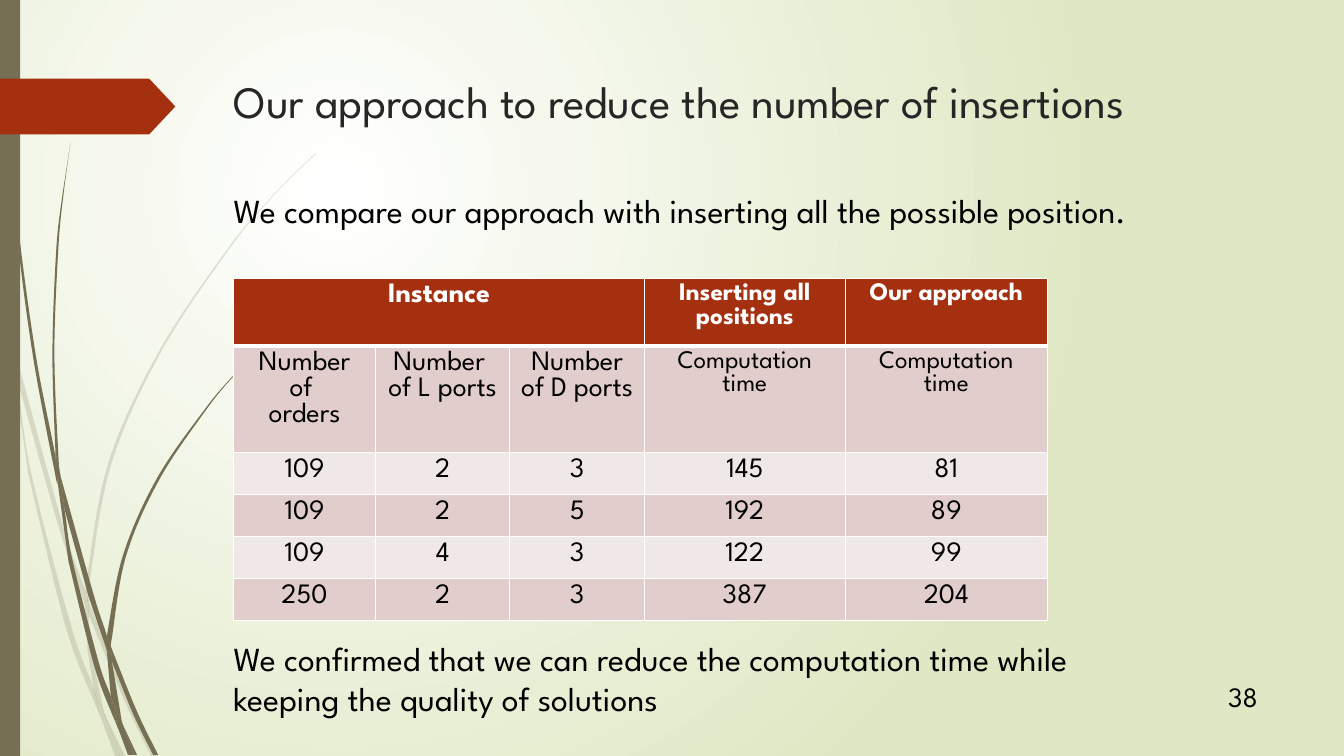
from lxml import etree
from pptx import Presentation
from pptx.dml.color import RGBColor
from pptx.enum.shapes import MSO_SHAPE
from pptx.enum.text import MSO_ANCHOR, PP_ALIGN
from pptx.oxml import parse_xml
from pptx.oxml.ns import qn
from pptx.util import Cm, Pt

RECT = MSO_SHAPE.RECTANGLE
ARROW = MSO_SHAPE.PENTAGON
TOP, MIDDLE = MSO_ANCHOR.TOP, MSO_ANCHOR.MIDDLE
LEFT, CENTER, RIGHT = PP_ALIGN.LEFT, PP_ALIGN.CENTER, PP_ALIGN.RIGHT
FONT = "League Spartan"
NS = "http://schemas.openxmlformats.org/drawingml/2006/main"
OLIVE, RUST, WHITE, BLACK = "766F54", "A53010", "FFFFFF", "000000"
BANDS = ["E1CDCC", "F0E8E7"]
FINE = 10  # freeform units in one grid step
STEP = Cm(2.54) / 100  # grid step of the grass

# Each blade of grass: its two sides, one down and one back up
PALE = [
    ([(0, 282), (9, 322), (11, 350)], [(10, 344), (0, 299)]),
    ([(14, 345), (62, 520), (85, 586)], [(84, 599), (58, 522), (17, 376)]),
    ([(88, 596), (92, 607), (127, 692), (155, 750)],
     [(150, 750), (123, 694), (88, 610)]),
    ([(105, 711), (124, 750)], [(119, 750)]),
    ([(11, 350), (17, 376), (31, 469), (70, 619), (93, 683), (99, 707),
      (101, 714)], [(92, 693), (65, 621), (28, 470)]),
    ([(84, 599), (88, 608), (88, 610), (91, 646), (103, 706), (105, 711)],
     [(96, 692), (93, 683), (87, 646)]),
    ([(312, 153), (312, 154), (290, 175), (268, 198), (229, 245), (160, 349),
      (110, 462), (88, 584), (88, 596)],
     [(85, 586), (85, 584), (107, 461), (158, 348), (228, 244), (268, 197),
      (289, 175)]),
    ([(101, 714), (119, 750)], [(114, 750)]),
    ([(85, 586), (88, 596), (88, 610), (88, 608)], [(84, 599)]),
    ([(93, 683), (96, 692), (105, 711), (119, 750)], [(101, 714), (99, 707)]),
]
DARK = [
    ([(4, 0), (5, 48), (8, 109), (19, 232), (36, 355), (55, 453), (57, 481)],
     [(56, 477), (33, 355), (17, 233), (7, 110), (4, 48), (3, 0)]),
    ([(60, 472), (93, 590), (106, 631), (106, 645)], [(88, 592), (64, 505)]),
    ([(110, 641), (113, 649), (136, 706), (157, 749)],
     [(152, 749), (132, 708), (111, 656)]),
    ([(122, 719), (136, 749)], [(133, 749)]),
    ([(57, 477), (64, 505), (72, 556), (98, 657), (110, 691), (116, 717),
      (117, 722)], [(111, 708), (93, 659), (68, 557)]),
    ([(70, 141), (63, 193), (58, 245), (54, 349), (58, 453), (60, 472)],
     [(55, 449), (52, 349), (56, 245), (62, 193)]),
    ([(55, 449), (60, 472), (64, 505)], [(57, 477), (55, 453)]),
    ([(261, 344), (245, 359), (231, 374), (205, 406), (158, 476), (125, 552),
      (111, 633), (110, 641)],
     [(106, 631), (122, 551), (156, 474), (204, 405), (231, 373),
      (245, 358)]),
    ([(117, 722), (131, 749)], [(127, 749)]),
    ([(106, 645), (109, 651), (111, 656), (121, 716), (122, 719)],
     [(116, 706), (110, 691)]),
    ([(106, 631), (110, 641), (111, 656), (109, 651)], [(106, 645)]),
    ([(110, 691), (116, 706), (122, 719), (133, 749)],
     [(130, 749), (117, 722), (116, 717)]),
]

ROWS = [
    ["Instance", "", "", "Inserting all positions", "Our approach"],
    ["Number of \norders", "Number \nof L ports", "Number\nof D ports",
     "Computation time", "Computation time"],
    ["109", "2", "3", "145", "81"],
    ["109", "2", "5", "192", "89"],
    ["109", "4", "3", "122", "99"],
    ["250", "2", "3", "387", "204"],
]
WIDTHS = [3.57, 3.39, 3.39, 5.06, 5.1]
HEIGHTS = [1.7, 2.69] + [1.06] * 4


def rgb(code):
    return RGBColor.from_string(code)


def paint(shape, color, alpha=None):
    shape.shadow.inherit = False
    shape.fill.solid()
    shape.fill.fore_color.rgb = rgb(color)
    shape.line.fill.background()
    if alpha:
        tint = shape.fill._xPr.find(".//" + qn("a:srgbClr"))
        etree.SubElement(tint, qn("a:alpha"), val=str(alpha * 1000))


def backdrop(slide):
    """Fill the background with a round gradient off to the upper left."""
    fill = slide.background.fill
    fill.solid()
    solid = fill._xPr.find(qn("a:solidFill"))
    fill._xPr.replace(solid, parse_xml(
        f'<a:gradFill xmlns:a="{NS}" rotWithShape="1"><a:gsLst>'
        '<a:gs pos="0"><a:srgbClr val="FFFFFF"/></a:gs>'
        '<a:gs pos="100000"><a:srgbClr val="DFE8C4"/></a:gs></a:gsLst>'
        '<a:path path="circle"><a:fillToRect l="50000" t="50000" '
        'r="100000" b="100000"/></a:path></a:gradFill>'))


def bend(lines, side, origin):
    """Turn the straight lines of one side into a smooth curve."""
    ends = [side[0], *side, side[-1]]
    for line, a, b, c, d in zip(lines, ends, ends[1:], ends[2:], ends[3:]):
        curve = etree.Element(qn("a:cubicBezTo"))
        near = [q + (r - p) / 6 for p, q, r in zip(a, b, c)]
        far = [r - (s - q) / 6 for q, r, s in zip(b, c, d)]
        for dot in (near, far, c):
            x, y = [round(FINE * (v - o)) for v, o in zip(dot, origin)]
            etree.SubElement(curve, qn("a:pt"), x=str(x), y=str(y))
        line.getparent().replace(line, curve)


def add_blade(slide, down, back, alpha=None):
    dots = [(x * FINE, y * FINE) for x, y in down + back]
    pen = slide.shapes.build_freeform(*dots[0], scale=STEP / FINE)
    pen.add_line_segments(dots[1:])
    shape = pen.convert_to_shape()
    origin = [min(axis) for axis in zip(*down, *back)]
    lines = list(shape._element.iter(qn("a:lnTo")))
    bend(lines, down, origin)
    bend(lines[len(down):], back, origin)
    paint(shape, OLIVE, alpha)


def add_block(slide, kind, box, color):
    shape = slide.shapes.add_shape(kind, *map(Cm, box))
    paint(shape, color)
    return shape


def write(frame, text, size, color=BLACK, bold=False, align=LEFT):
    frame.word_wrap = True
    frame.text = text
    for para in frame.paragraphs:
        para.alignment = align
        for run in para.runs:
            run.font.name = FONT
            run.font.size = Pt(size)
            run.font.bold = bold
            run.font.color.rgb = rgb(color)


def add_text(slide, box, text, size, align=LEFT, anchor=TOP):
    frame = slide.shapes.add_textbox(*map(Cm, box)).text_frame
    frame.vertical_anchor = anchor
    write(frame, text, size, align=align)


def set_title(slide, box, text):
    title = slide.shapes.title
    title.left, title.top, title.width, title.height = map(Cm, box)
    title.text_frame.vertical_anchor = TOP
    write(title.text_frame, text, 32, "262626")


def frame_cell(cell, low):
    """Draw white borders, with the bottom one low points wide."""
    props = cell._tc.get_or_add_tcPr()
    for i, side in enumerate("LRTB"):
        width = Pt(low if side == "B" else 1)
        props.insert(i, parse_xml(
            f'<a:ln{side} xmlns:a="{NS}" w="{width}"><a:solidFill>'
            f'<a:srgbClr val="{WHITE}"/></a:solidFill></a:ln{side}>'))


def add_grid(slide, left, top):
    table = slide.shapes.add_table(
        len(ROWS), len(WIDTHS), Cm(left), Cm(top),
        Cm(sum(WIDTHS)), Cm(sum(HEIGHTS))).table
    table.horz_banding = False
    for col, width in zip(table.columns, WIDTHS):
        col.width = Cm(width)
    for r, texts in enumerate(ROWS):
        table.rows[r].height = Cm(HEIGHTS[r])
        head = r == 0
        for c, text in enumerate(texts):
            cell = table.cell(r, c)
            cell.margin_left = cell.margin_right = Cm(.27)
            size = 18 if r < 2 and c > 2 else 20
            write(cell.text_frame, text, size, WHITE if head else BLACK,
                  head, CENTER)
            cell.fill.solid()
            cell.fill.fore_color.rgb = rgb(RUST if head else BANDS[1 - r % 2])
            frame_cell(cell, 3 if head else 1)
    table.cell(0, 0).merge(table.cell(0, 2))


def main():
    deck = Presentation()
    deck.slide_width, deck.slide_height = Cm(33.87), Cm(19.05)
    slide = deck.slides.add_slide(deck.slide_layouts[5])
    backdrop(slide)
    for down, back in PALE:
        add_blade(slide, down, back, 20)
    for down, back in DARK:
        add_blade(slide, down, back)
    add_block(slide, RECT, (0, 0, .51, 19.05), OLIVE)
    arrow = add_block(slide, ARROW, (0, 1.98, 4.42, 1.41), RUST)
    arrow.adjustments[0] = .47
    set_title(slide, (5.64, 1.73, 27.84, 2.64),
              "Our approach to reduce the number of insertions")
    add_grid(slide, 5.89, 7.01)
    add_text(slide, (5.64, 4.65, 24.74, 2.31),
             "We compare our approach with inserting all the possible "
             "position.", 24)
    add_text(slide, (5.64, 15.95, 23.8, 2.31),
             "We confirmed that we can reduce the computation time while "
             "keeping the quality of solutions", 24)
    add_text(slide, (29.79, 17.04, 2.16, 1.02), "38", 20, RIGHT, MIDDLE)
    deck.save("out.pptx")


if __name__ == "__main__":
    main()
